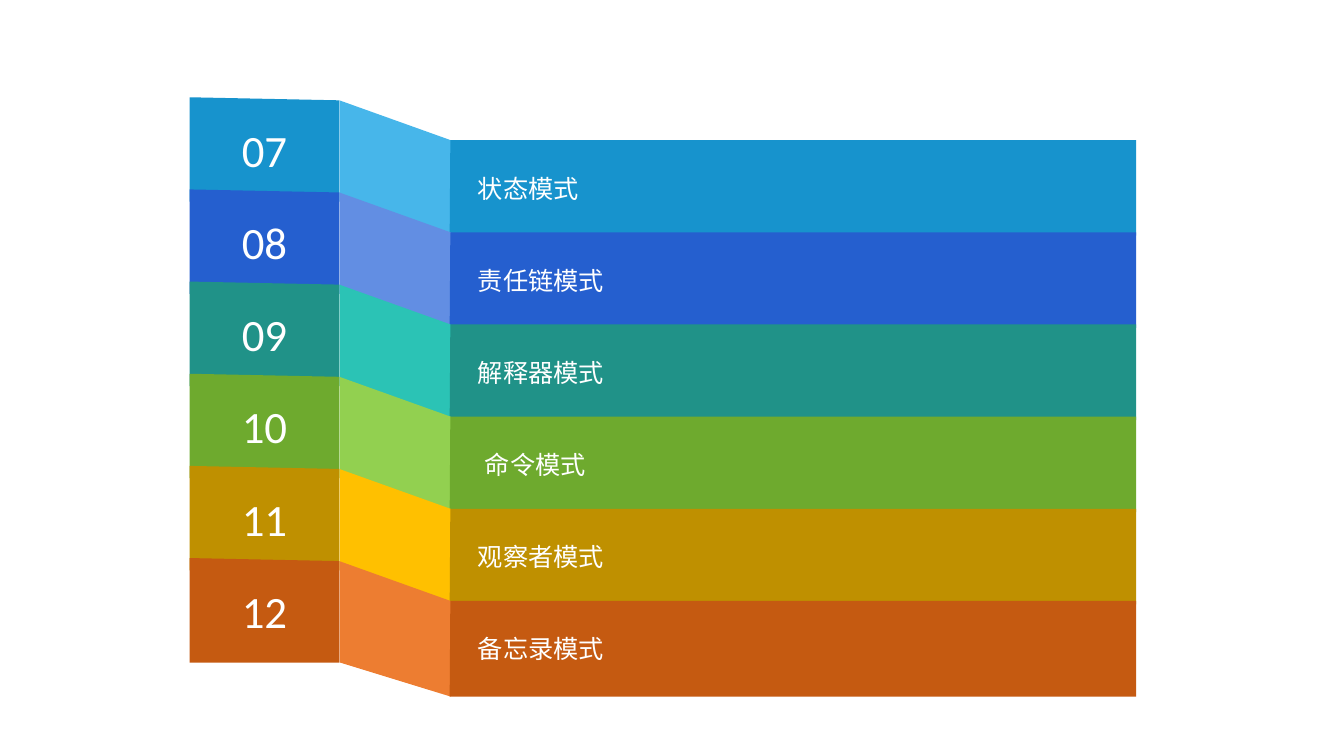
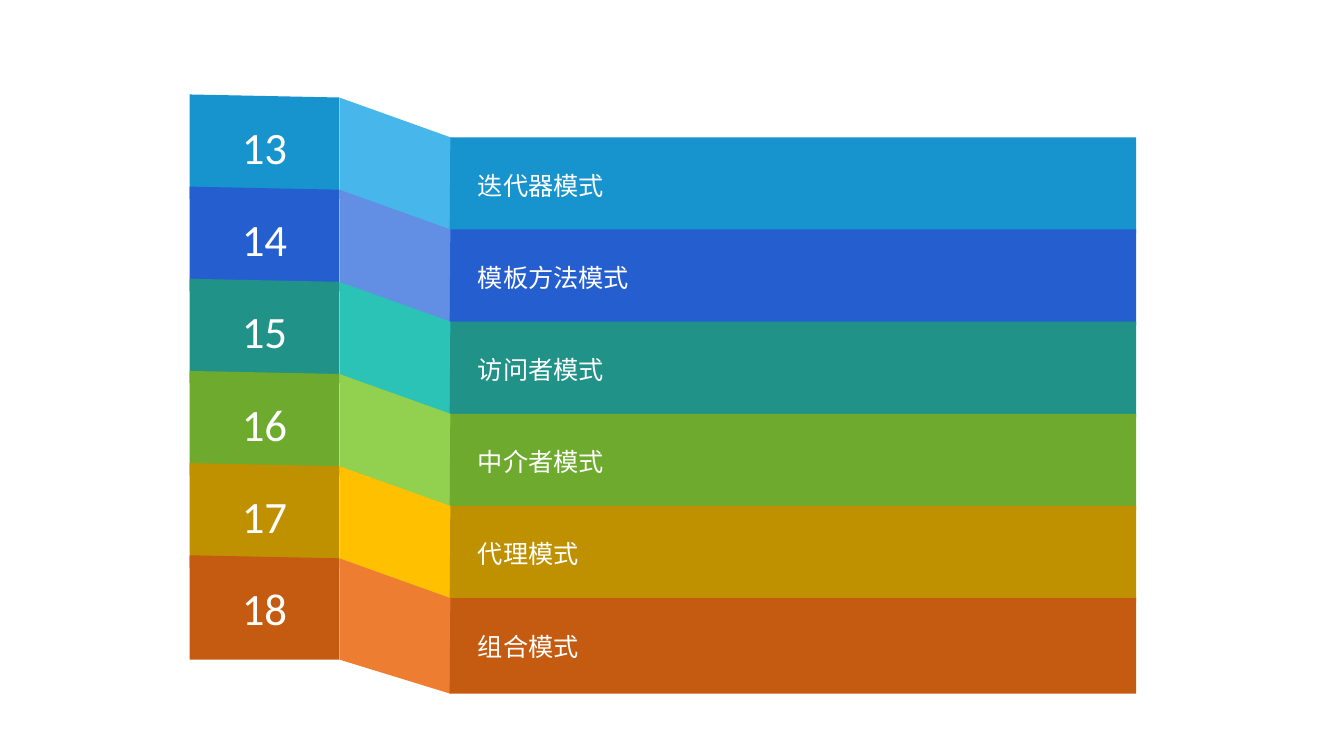
import pptx
import pptx.dml.color
import pptx.enum.text
import pptx.util

Pt = pptx.util.Pt
RGBColor = pptx.dml.color.RGBColor
ALIGN = pptx.enum.text.PP_ALIGN

# Colours: dark for the number and label faces, light for the fold between them
WHITE = RGBColor(0xFF, 0xFF, 0xFF)
BAND_COLOURS = [
    (RGBColor(0x17, 0x93, 0xCD), RGBColor(0x47, 0xB6, 0xEA)),
    (RGBColor(0x25, 0x5F, 0xCF), RGBColor(0x62, 0x8E, 0xE3)),
    (RGBColor(0x20, 0x92, 0x88), RGBColor(0x2B, 0xC3, 0xB5)),
    (RGBColor(0x6E, 0xAA, 0x2E), RGBColor(0x92, 0xD0, 0x50)),
    (RGBColor(0xBF, 0x90, 0x00), RGBColor(0xFF, 0xC0, 0x00)),
    (RGBColor(0xC5, 0x5A, 0x11), RGBColor(0xED, 0x7D, 0x31)),
]

# Band outlines in points, measured down from the top of each band
BAND_PITCH = 65.83
NUMBER_FACE = [(135.4, 0), (135.4, 74.6), (242.5, 74.6), (242.5, 2.2)]
FOLD_FACE = [(242.5, 2.2), (242.5, 74.5), (321.9, 98.9), (322.3, 30.8)]
LABEL_FACE = [(321.7, 30.6), (811.5, 30.6), (811.5, 98.9), (321.2, 98.9)]
LABEL_INSET = 20.2
SPACE_INDENT = 5

# Each slide: top of the first band, first number, labels with extra indent
SLIDES = [
    (69.5, 7, [("状态模式", 0), ("责任链模式", 0), ("解释器模式", 0),
               ("命令模式", SPACE_INDENT), ("观察者模式", 0), ("备忘录模式", 0)]),
    (67.5, 13, [("迭代器模式", 0), ("模板方法模式", 0), ("访问者模式", 0),
                ("中介者模式", 0), ("代理模式", 0), ("组合模式", 0)]),
]


def add_face(shapes, outline, top, colour):
    """Draw one flat, borderless face of a band."""
    points = [(Pt(x), Pt(top + y)) for x, y in outline]
    builder = shapes.build_freeform(*points[0])
    builder.add_line_segments(points[1:], close=True)
    face = builder.convert_to_shape()
    face.shadow.inherit = False
    face.fill.solid()
    face.fill.fore_color.rgb = colour
    face.line.fill.background()
    return face


def set_text(shape, text, *, size, font, align, inset=7.2, indent=0):
    """Write one line of white text, centred vertically in the shape."""
    frame = shape.text_frame
    frame.word_wrap = True
    frame.vertical_anchor = pptx.enum.text.MSO_ANCHOR.MIDDLE
    frame.margin_left = Pt(inset + indent)
    frame.margin_right = Pt(inset)
    frame.margin_top = frame.margin_bottom = Pt(3.6)
    paragraph = frame.paragraphs[0]
    paragraph.alignment = align
    run = paragraph.add_run()
    run.text = text
    run.font.size = Pt(size)
    run.font.name = font
    run.font.color.rgb = WHITE


def add_band(slide, top, number, label, indent, colours):
    """Add a folded band: number, fold and label, grouped."""
    dark, light = colours
    shapes = slide.shapes.add_group_shape().shapes
    number_face = add_face(shapes, NUMBER_FACE, top, dark)
    set_text(number_face, f"{number:02d}", size=32, font="Calibri",
             align=ALIGN.CENTER)
    add_face(shapes, FOLD_FACE, top, light)
    label_face = add_face(shapes, LABEL_FACE, top, dark)
    set_text(label_face, label, size=18, font="Arial", align=ALIGN.JUSTIFY,
             inset=LABEL_INSET, indent=indent)


def add_agenda_slide(presentation, first_top, first_number, labels):
    """Add a slide with one band for each label."""
    slide = presentation.slides.add_slide(presentation.slide_layouts[6])
    for index, ((label, indent), colours) in enumerate(zip(labels, BAND_COLOURS)):
        add_band(slide, first_top + index * BAND_PITCH, first_number + index,
                 label, indent, colours)


def main():
    presentation = pptx.Presentation()
    presentation.slide_width = Pt(960)
    presentation.slide_height = Pt(540)
    for first_top, first_number, labels in SLIDES:
        add_agenda_slide(presentation, first_top, first_number, labels)
    presentation.save("out.pptx")


if __name__ == "__main__":
    main()
